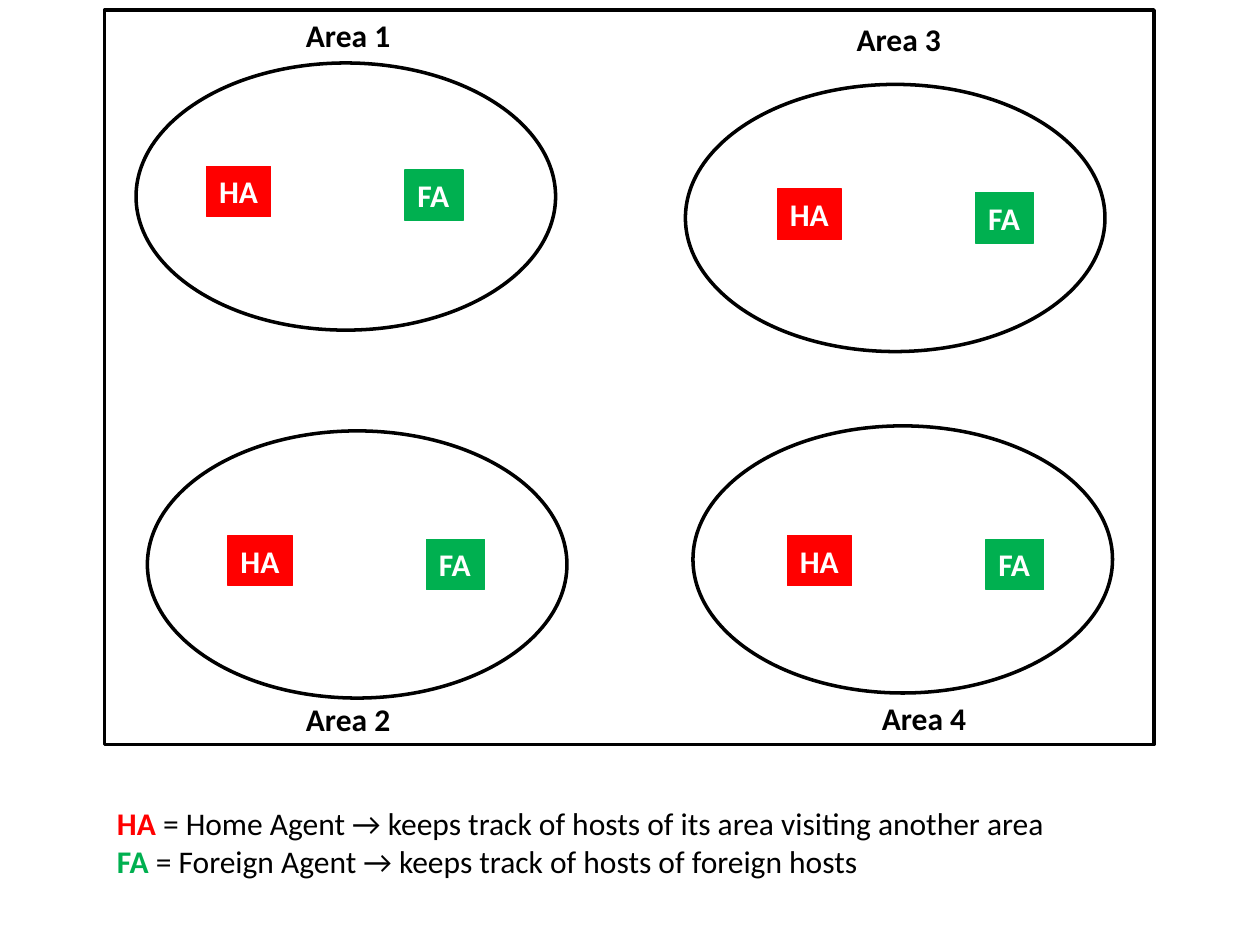
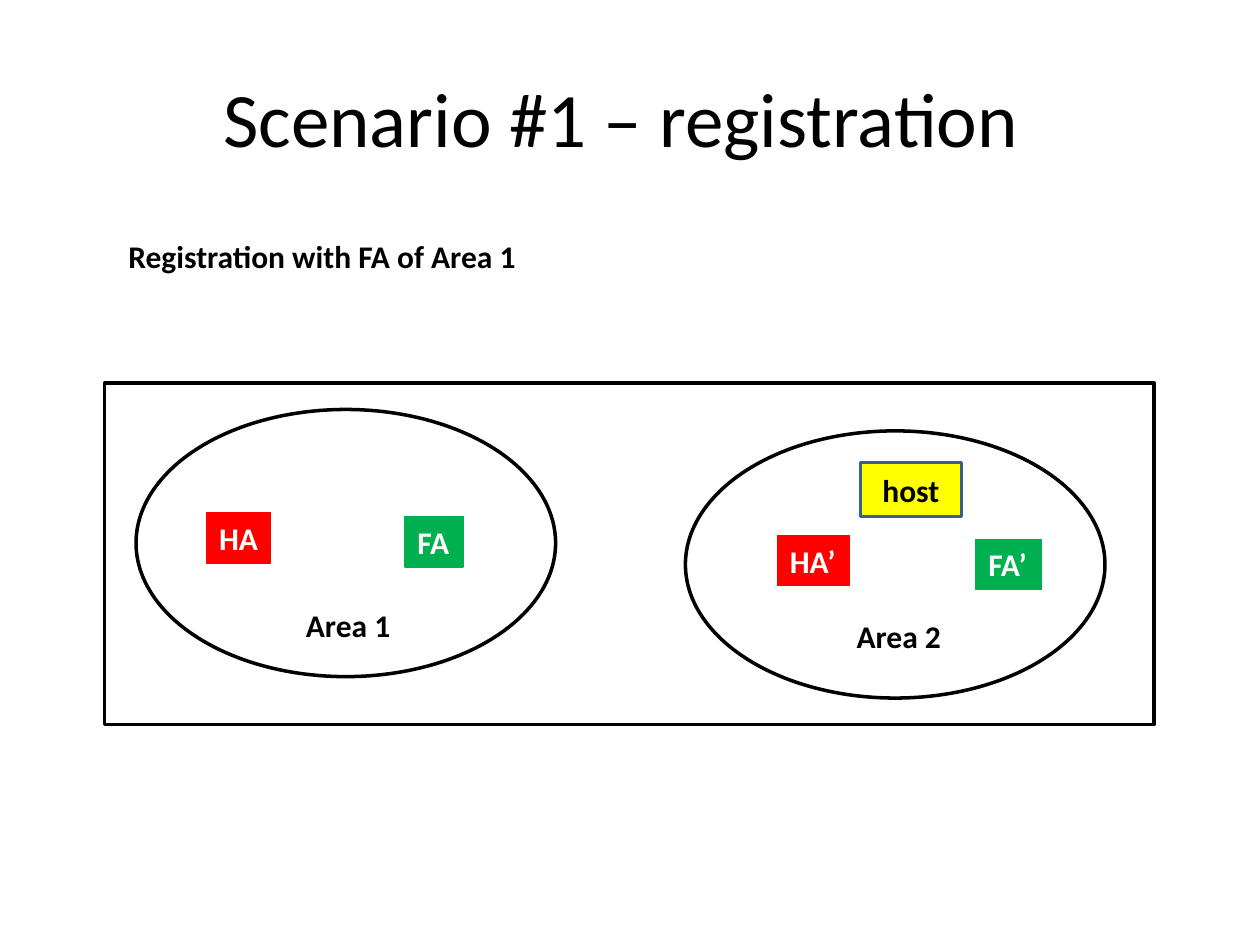
from pptx import Presentation
from pptx.dml.color import RGBColor
from pptx.enum import shapes, text
from pptx.util import Inches, Pt

BLACK = RGBColor(0, 0, 0)
WHITE = RGBColor(255, 255, 255)
HOME_RED = RGBColor(255, 0, 0)
FOREIGN_GREEN = RGBColor(0, 0xB0, 0x50)
HOST_YELLOW = RGBColor(255, 255, 0)
HOST_BORDER = RGBColor(0x3A, 0x5F, 0x8C)
FONT = "Calibri"
RECT, OVAL = shapes.MSO_SHAPE.RECTANGLE, shapes.MSO_SHAPE.OVAL


def add_box(slide, kind, place, fill=None, line=BLACK, width=2):
    """Add a preset shape, or a text box when kind is None."""
    place = [Inches(length) for length in place]
    if kind is None:
        return slide.shapes.add_textbox(*place)
    box = slide.shapes.add_shape(kind, *place)
    box.shadow.inherit = False
    if fill is None:
        box.fill.background()
    else:
        box.fill.solid()
        box.fill.fore_color.rgb = fill
    box.line.color.rgb = line
    box.line.width = Pt(width)
    return box


def write(box, words, color=BLACK, size=18, bold=True, centered=False):
    """Set one line of text; centered text wraps, other text fits its box."""
    frame = box.text_frame
    frame.text = words
    frame.word_wrap = centered
    frame.vertical_anchor = text.MSO_ANCHOR.MIDDLE if centered else text.MSO_ANCHOR.TOP
    if not centered:
        frame.auto_size = text.MSO_AUTO_SIZE.SHAPE_TO_FIT_TEXT
    line = frame.paragraphs[0]
    line.alignment = text.PP_ALIGN.CENTER if centered else text.PP_ALIGN.LEFT
    font = line.runs[0].font
    font.name, font.size, font.bold, font.color.rgb = FONT, Pt(size), bold, color


prs = Presentation()
prs.slide_width, prs.slide_height = Inches(10), Inches(7.5)
blank = prs.slide_layouts[6]
overview = prs.slides.add_slide(blank)
scenario = prs.slides.add_slide(blank)

# Network frame (top, height) and its areas: name, name position,
# ellipse position, home agent position, mark after the agent names
networks = [
    (overview, 0.08, 5.83, [
        ("Area 1", (2.33, 0.08), (1.08, 0.5), (1.64, 1.32), ""),
        ("Area 2", (2.33, 5.51), (1.17, 3.42), (1.81, 4.25), ""),
        ("Area 3", (6.7, 0.11), (5.44, 0.67), (6.17, 1.5), ""),
        ("Area 4", (6.9, 5.5), (5.5, 3.38), (6.25, 4.25), ""),
    ]),
    (scenario, 3.04, 2.71, [
        ("Area 1", (2.33, 4.76), (1.08, 3.25), (1.64, 4.07), ""),
        ("Area 2", (6.7, 4.85), (5.44, 3.42), (6.17, 4.25), "’"),
    ]),
]
for slide, top, height, areas in networks:
    add_box(slide, RECT, (0.83, top, 8.33, height))
    for name, name_at, area_at, (home_x, home_y), mark in areas:
        add_box(slide, OVAL, (*area_at, 3.33, 2.12), WHITE)
        write(add_box(slide, None, (*name_at, 0.94, 0.4)), name)

        # The foreign agent sits right of the home agent and slightly lower
        extra = 0.06 if mark else 0
        for agent, x, y, width, color in (
            ("HA", home_x, home_y, 0.51, HOME_RED),
            ("FA", home_x + 1.575, home_y + 0.03, 0.46, FOREIGN_GREEN),
        ):
            agent_box = add_box(slide, RECT, (x, y, width + extra, 0.4), color, color, 0.75)
            write(agent_box, agent + mark, WHITE)

# Overview: legend
legend = add_box(overview, None, (0.83, 6.33, 7.72, 0.71)).text_frame
legend.word_wrap = False
legend.auto_size = text.MSO_AUTO_SIZE.SHAPE_TO_FIT_TEXT
meanings = [
    ("HA", HOME_RED, " = Home Agent → keeps track of hosts of its area visiting another area"),
    ("FA", FOREIGN_GREEN, " = Foreign Agent → keeps track of hosts of foreign hosts"),
]
legend.text = "\n".join(agent + meaning for agent, _, meaning in meanings)
for entry, (agent, color, meaning) in zip(legend.paragraphs, meanings):
    entry.runs[0].text = agent
    entry.add_run().text = meaning
    for run, run_color, bold in zip(entry.runs, (color, BLACK), (True, False)):
        run.font.name, run.font.size = FONT, Pt(18)
        run.font.bold, run.font.color.rgb = bold, run_color

# Scenario: title, step and visiting host
title = add_box(scenario, None, (0.5, 0.3, 9, 1.25))
write(title, "Scenario #1 – registration ", size=44, bold=False, centered=True)
write(add_box(scenario, None, (0.92, 1.83, 3.36, 0.4)), "Registration with FA of Area 1")
host = add_box(scenario, RECT, (6.83, 3.67, 0.8, 0.43), HOST_YELLOW, HOST_BORDER)
write(host, "host", centered=True)

prs.save("out.pptx")
